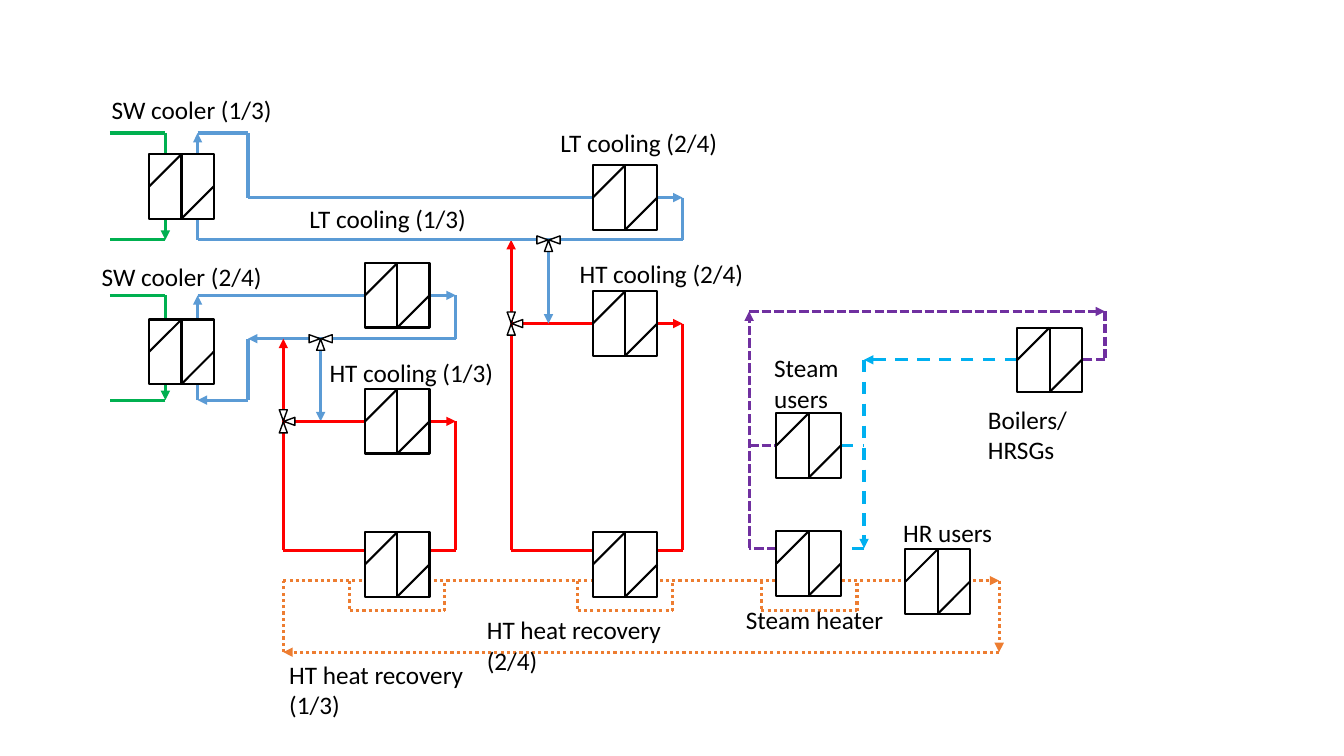
"""Build the cooling, steam and heat recovery flow diagram slide."""
import pptx
import pptx.util
import pptx.dml.color
import pptx.enum.dml
import pptx.enum.shapes
import pptx.enum.text
import pptx.oxml
import pptx.oxml.ns

COLOURS = {"sea": "00B050", "low": "5B9BD5", "high": "FF0000", "recovery": "ED7D31",
           "steam": "00B0F0", "condensate": "7030A0", "ink": "000000", "paper": "FFFFFF"}
DASHES = {"recovery": pptx.enum.dml.MSO_LINE.ROUND_DOT,
          "condensate": pptx.enum.dml.MSO_LINE.SQUARE_DOT,
          "steam": pptx.enum.dml.MSO_LINE.DASH}

COLUMNS = dict(zip("ABCDEFGHIJKLMNOPQRSTUVWX", (
    1.09, 1.64, 1.96, 2.46, 2.81, 3.18, 3.47, 4.41, 4.52, 5.07, 5.44, 5.73,
    6.67, 6.77, 7.43, 7.55, 7.7, 8.34, 8.5, 8.57, 9.91, 10.09, 10.73, 10.96)))
ROWS = dict(enumerate((1.32, 1.96, 2.38, 2.93, 3.09, 3.21, 3.36, 3.57,
                       3.97, 4.18, 4.42, 5.44, 5.46, 5.76, 6.06, 6.47), 1))

PIPES = [
    ("sea", "A1 B1 B3> A3"),
    ("sea", "A4 B4 B9> A9"),
    ("low", "F7 F10>"),
    ("low", "C9 C4> I4> I7 D7> D9 C9>"),
    ("high", "E10 I10> I13 E13 E7>"),
    ("high", "J6 N6> N13 J13 J3>"),
    ("low", "N3 C3 C1> D1 D2 N2> N3"),
    ("low", "K3 K6>"),
    ("recovery", "E16 E14 U14> U16> E16>"),
    ("recovery", "G14 G15 H15 H14"),
    ("recovery", "L14 L15 M15 M14"),
    ("recovery", "P14 P15 S15 S14"),
    ("condensate", "Q12 O12 O5> X5> X8 W8"),
    ("condensate", "O11 Q11"),
    ("steam", "V8 T8> T12> R12"),
    ("steam", "R11 T11"),
]
VALVES = [("E10", "up down right"), ("F7", "left right down"),
          ("J6", "up down right"), ("K3", "left right down")]
DIRECTIONS = {"up": (0, -1, 180), "down": (0, 1, 0), "left": (-1, 0, 90), "right": (1, 0, 270)}
EXCHANGERS = [
    (1.8, 1.85), (1.8, 3.49), (3.94, 2.93), (3.94, 4.18), (3.94, 5.6), (6.2, 1.96),
    (6.2, 3.21), (6.2, 5.6), (8.02, 4.42), (8.02, 5.59), (9.3, 5.77), (10.41, 3.57)]
LABELS = [
    ("SW cooler (1/3)", 1.01, 0.89, 1.79), ("SW cooler (2/4)", 0.91, 2.54, 1.79),
    ("LT cooling (1/3)", 2.97, 1.97, 1.82), ("LT cooling (2/4)", 5.46, 1.21, 1.82),
    ("HT cooling (1/3)", 3.17, 3.5, 1.82), ("HT cooling (2/4)", 5.65, 2.51, 1.82),
    ("HT heat recovery (1/3)", 2.77, 6.49, 2.48),
    ("HT heat recovery (2/4)", 4.73, 6.05, 2.48),
    ("Steam\vusers", 7.58, 3.45, 1.01), ("Steam heater", 7.3, 5.95, 1.56),
    ("HR users", 8.86, 5.08, 1.09), ("Boilers/\vHRSGs", 9.7, 3.96, 1.63)]

HALF = 0.32
VALVE_WIDTH, VALVE_HEIGHT, VALVE_REACH = 0.08, 0.11, 0.06
LABEL_FRAME = {"word_wrap": False, "vertical_anchor": pptx.enum.text.MSO_ANCHOR.TOP}
LABEL_FONT = {"name": "Calibri", "size": pptx.util.Pt(18)}


def rgb(name):
    return pptx.dml.color.RGBColor.from_string(COLOURS[name])


def inches(*lengths):
    return [pptx.util.Inches(length) for length in lengths]


def set_all(target, values):
    for name, value in values.items():
        setattr(target, name, value)


def locate(reference):
    return COLUMNS[reference[0]], ROWS[int(reference[1:])]


def add_line(shapes, start, end, colour, width, arrow=False):
    connector = shapes.add_connector(
        pptx.enum.shapes.MSO_CONNECTOR.STRAIGHT, *inches(*start, *end))
    connector.line.color.rgb = rgb(colour)
    connector.line.width = pptx.util.Pt(width)
    if colour in DASHES:
        connector.line.dash_style = DASHES[colour]
    if arrow:
        tail = pptx.oxml.parse_xml(
            f'<a:tailEnd {pptx.oxml.ns.nsdecls("a")} type="triangle"/>')
        connector.line._get_or_add_ln().append(tail)
    effects = pptx.oxml.parse_xml(f'<a:effectLst {pptx.oxml.ns.nsdecls("a")}/>')
    connector._element.spPr.append(effects)


def add_outline(shapes, kind, centre, width, height, line_width, rotation=0):
    x, y = centre
    shape = shapes.add_shape(kind, *inches(x - width / 2, y - height / 2, width, height))
    shape.shadow.inherit = False
    shape.rotation = rotation
    shape.fill.solid()
    shape.fill.fore_color.rgb = rgb("paper")
    shape.line.color.rgb = rgb("ink")
    shape.line.width = pptx.util.Pt(line_width)


def add_pipe(slide, colour, route):
    stops = route.split()
    for start, end in zip(stops, stops[1:]):
        add_line(slide.shapes, locate(start.strip(">")), locate(end.strip(">")),
                 colour, 2.25, end.endswith(">"))


def add_exchanger(slide, x, y):
    shapes = slide.shapes.add_group_shape().shapes
    add_outline(shapes, pptx.enum.shapes.MSO_SHAPE.RECTANGLE, (x, y), 2 * HALF, 2 * HALF, 1.5)
    top, bottom = (x, y - HALF), (x, y + HALF)
    for start, end in (((x - HALF, y), top), (bottom, top), (bottom, (x + HALF, y))):
        add_line(shapes, start, end, "ink", 1.5)


def add_valve(slide, reference, ports):
    shapes = slide.shapes.add_group_shape().shapes
    x, y = locate(reference)
    for port in ports.split():
        across, down, rotation = DIRECTIONS[port]
        add_outline(shapes, pptx.enum.shapes.MSO_SHAPE.ISOSCELES_TRIANGLE,
                    (x + across * VALVE_REACH, y + down * VALVE_REACH),
                    VALVE_WIDTH, VALVE_HEIGHT, 1, rotation)


def add_label(slide, text, left, top, width):
    height = 0.4 + 0.31 * text.count("\v")
    frame = slide.shapes.add_textbox(*inches(left, top, width, height)).text_frame
    set_all(frame, LABEL_FRAME)
    paragraph = frame.paragraphs[0]
    paragraph.text = text
    for run in paragraph.runs:
        set_all(run.font, LABEL_FONT)
        run.font.color.rgb = rgb("ink")


presentation = pptx.Presentation()
presentation.slide_width, presentation.slide_height = inches(13.33, 7.5)
diagram = presentation.slides.add_slide(presentation.slide_layouts[6])
for add_part, parts in ((add_pipe, PIPES), (add_exchanger, EXCHANGERS),
                        (add_valve, VALVES), (add_label, LABELS)):
    for part in parts:
        add_part(diagram, *part)
presentation.save("out.pptx")
